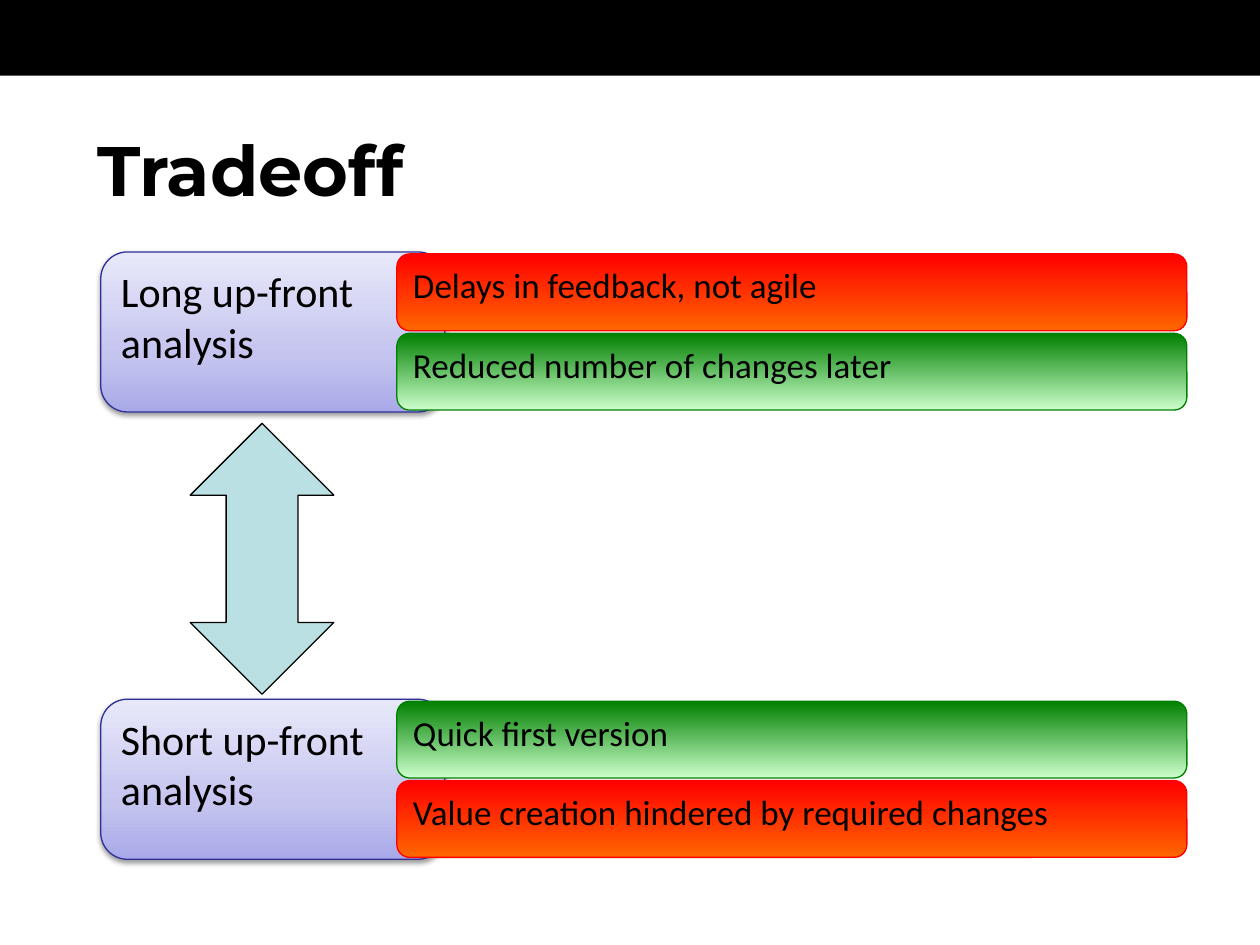
from dataclasses import dataclass

from lxml import etree
from pptx import Presentation
from pptx import util as u
from pptx.dml.color import RGBColor
from pptx.enum import shapes, text
from pptx.oxml import ns


@dataclass(frozen=True)
class Paint:
    """Gradient stops as (percent, colour), counter-clockwise angle, outline."""
    stops: tuple
    angle: int
    line: str


@dataclass(frozen=True)
class Theme:
    """Colours, fonts and type sizes of the slide."""
    ink: str = "000000"
    arrow: str = "BBE0E3"
    title_font: str = "Montserrat"
    body_font: str = "Calibri"
    title_size: int = 40
    option_size: int = 24
    effect_size: int = 20
    line_width: float = 0.75
    option: Paint = Paint(((0, "A9A9E9"), (35, "C4C4EF"), (100, "E8E8FA")), 90, "2F2F98")
    drawback: Paint = Paint(((0, "FF0000"), (100, "FF6600")), 270, "FF0000")
    benefit: Paint = Paint(((0, "008000"), (100, "CCFFCC")), 270, "008000")


THEME = Theme()


@dataclass(frozen=True)
class Option:
    """One side of the tradeoff with its stacked effects."""
    label: str
    top: float
    effects: tuple


OPTIONS = (
    Option("Long up-front analysis", 2.0, (
        ("Delays in feedback, not agile", THEME.drawback),
        ("Reduced number of changes later", THEME.benefit))),
    Option("Short up-front analysis", 5.55, (
        ("Quick first version", THEME.benefit),
        ("Value creation hindered by required changes", THEME.drawback))),
)

PAGE_WIDTH, PAGE_HEIGHT = 10, 7.5
OPTION_LEFT, OPTION_WIDTH, OPTION_HEIGHT = 0.8, 2.73, 1.27
EFFECT_LEFT, EFFECT_WIDTH, EFFECT_HEIGHT = 3.15, 6.27, 0.61
EFFECT_OFFSET, EFFECT_PITCH = 0.015, 0.63
ARROW_LEFT, ARROW_WIDTH, ARROW_HEIGHT = 1.51, 1.14, 2.15
ARROW_TOP = 3.36


def set_all(target, values: dict) -> None:
    """Set each named attribute on the target."""
    for name, value in values.items():
        setattr(target, name, value)


def write(frame, words: str, font: str, size: int, anchor, bold: bool = False) -> None:
    """Put one left-aligned paragraph into a text frame."""
    set_all(frame, {"word_wrap": True, "vertical_anchor": anchor})
    para = frame.paragraphs[0]
    para.alignment = text.PP_ALIGN.LEFT
    span = para.add_run()
    span.text = words
    set_all(span.font, {"name": font, "size": u.Pt(size), "bold": bold})
    span.font.color.rgb = RGBColor.from_string(THEME.ink)


def add_shape(page, kind, left: float, top: float, width: float, height: float,
              fill: str = "", line: str = ""):
    """Add a preset shape without shadow, with optional solid fill and line."""
    shape = page.shapes.add_shape(kind, *map(u.Inches, (left, top, width, height)))
    shape.shadow.inherit = False
    if fill:
        shape.fill.solid()
        shape.fill.fore_color.rgb = RGBColor.from_string(fill)
    if line:
        shape.line.color.rgb = RGBColor.from_string(line)
        shape.line.width = u.Pt(THEME.line_width)
    else:
        shape.line.fill.background()
    return shape


def add_colour(parent, colour: str):
    """Append an RGB colour element."""
    return etree.SubElement(parent, ns.qn("a:srgbClr"), val=colour)


def paint_gradient(shape, paint: Paint) -> None:
    """Fill a shape with the stops of a paint."""
    shape.fill.gradient()
    shape.fill.gradient_angle = paint.angle
    stop_list = next(shape.element.spPr.iter(ns.qn("a:gsLst")))
    for stop in list(stop_list):
        stop_list.remove(stop)
    for percent, colour in paint.stops:
        stop = etree.SubElement(stop_list, ns.qn("a:gs"), pos=str(percent * 1000))
        add_colour(stop, colour)


def add_shadow(shape) -> None:
    """Give a shape a soft shadow straight below it."""
    effects = shape.element.spPr.find(ns.qn("a:effectLst"))
    shadow = etree.SubElement(
        effects, ns.qn("a:outerShdw"), blurRad=str(u.Pt(3.1)), dist=str(u.Pt(1.6)),
        dir="5400000", rotWithShape="0")
    etree.SubElement(add_colour(shadow, THEME.ink), ns.qn("a:alpha"), val="38000")


def add_box(page, words: str, size: int, paint: Paint, *place: float):
    """Add a rounded gradient box with text at its top left."""
    box = add_shape(page, shapes.MSO_SHAPE.ROUNDED_RECTANGLE, *place, line=paint.line)
    paint_gradient(box, paint)
    write(box.text_frame, words, THEME.body_font, size, text.MSO_ANCHOR.TOP)
    return box


def add_option(page, option: Option) -> None:
    """Draw an option and its effects overlapping its right edge."""
    box = add_box(page, option.label, THEME.option_size, THEME.option,
                  OPTION_LEFT, option.top, OPTION_WIDTH, OPTION_HEIGHT)
    add_shadow(box)
    for row, (words, paint) in enumerate(option.effects):
        top = option.top + EFFECT_OFFSET + row * EFFECT_PITCH
        add_box(page, words, THEME.effect_size, paint,
                EFFECT_LEFT, top, EFFECT_WIDTH, EFFECT_HEIGHT)


def add_title(page, words: str) -> None:
    """Place and format the title placeholder."""
    title = page.shapes.title
    set_all(title, {"left": u.Inches(0.67), "top": u.Inches(0.92),
                    "width": u.Inches(9.33), "height": u.Inches(0.83)})
    write(title.text_frame, words, THEME.title_font, THEME.title_size,
          text.MSO_ANCHOR.MIDDLE, bold=True)


def main() -> None:
    """Build the deck."""
    deck = Presentation()
    set_all(deck, {"slide_width": u.Inches(PAGE_WIDTH),
                   "slide_height": u.Inches(PAGE_HEIGHT)})
    page = deck.slides.add_slide(deck.slide_layouts[5])
    add_shape(page, shapes.MSO_SHAPE.RECTANGLE, 0, 0, PAGE_WIDTH, 0.08 * PAGE_HEIGHT,
              fill=THEME.ink)
    add_title(page, "Tradeoff")
    for option in OPTIONS:
        add_option(page, option)
    add_shape(page, shapes.MSO_SHAPE.UP_DOWN_ARROW, ARROW_LEFT, ARROW_TOP,
              ARROW_WIDTH, ARROW_HEIGHT, fill=THEME.arrow, line=THEME.ink)
    deck.save("out.pptx")


main()
